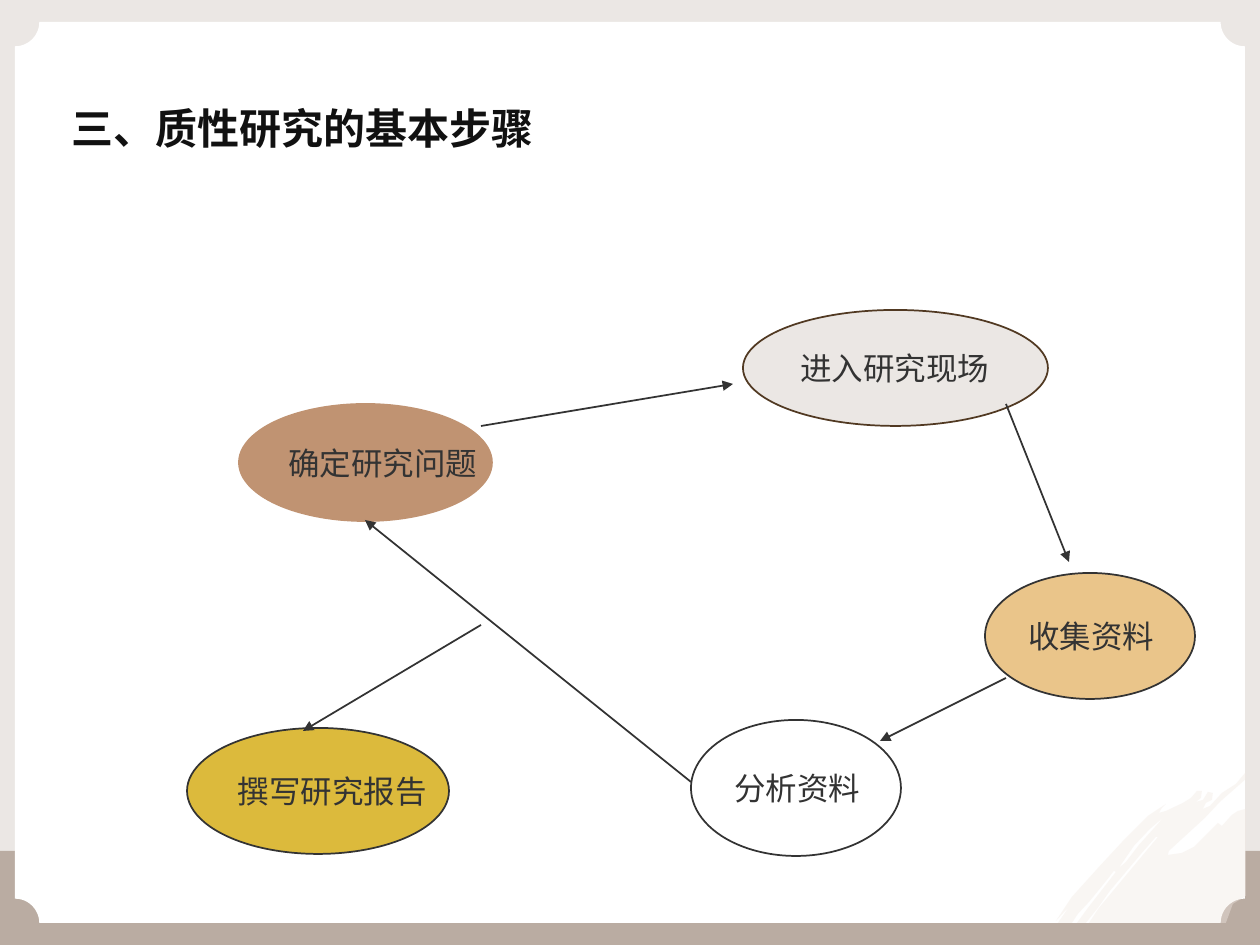
from lxml.etree import SubElement
from pptx import Presentation
from pptx.dml.color import RGBColor
from pptx.enum.shapes import MSO_CONNECTOR, MSO_SHAPE
from pptx.enum.text import MSO_ANCHOR, PP_ALIGN
from pptx.oxml.ns import qn
from pptx.util import Emu, Pt

PX = 914400 // 126
FONT = "Noto Sans CJK SC"
INK = "333333"


def paint(color_format, color):
    """Give a fill a solid colour, or a font its colour, from a hex string."""
    if hasattr(color_format, "solid"):
        color_format.solid()
        color_format = color_format.fore_color
    color_format.rgb = RGBColor.from_string(color)


def add_run(paragraph, text, size, color, bold=False):
    run = paragraph.add_run()
    run.text = text
    run.font.size = Pt(size)
    run.font.bold = bold
    run.font.name = FONT
    paint(run.font.color, color)
    SubElement(run.font._element, qn("a:ea"), typeface=FONT)


presentation = Presentation()
presentation.slide_width = Emu(1260 * PX)
presentation.slide_height = Emu(945 * PX)
slide = presentation.slides.add_slide(presentation.slide_layouts[6])
shapes = slide.shapes

# Frame and white panel
frame = [
    (MSO_SHAPE.RECTANGLE, 0, 0, 1260, 945, "EBE7E4"),
    (MSO_SHAPE.RECTANGLE, 0, 851, 1260, 94, "BAACA2"),
    (MSO_SHAPE.PLAQUE, 15, 22, 1230, 901, "FFFFFF"),
]
for kind, left, top, width, height, color in frame:
    shape = shapes.add_shape(kind, left * PX, top * PX, width * PX, height * PX)
    shape.shadow.inherit = False
    paint(shape.fill, color)
    shape.line.fill.background()
    if kind == MSO_SHAPE.PLAQUE:
        shape.adjustments[0] = 0.027

# Brush stroke in the lower right corner
brush_outline = [
    (1246, 772), (1246, 779), (1220, 802), (1205, 818), (1169, 851), (1168, 855),
    (1182, 853), (1194, 847), (1218, 823), (1222, 826), (1232, 815), (1238, 811),
    (1246, 809), (1246, 896), (1233, 904), (1226, 923), (1089, 923), (1099, 908),
    (1158, 837), (1156, 837), (1142, 853), (1126, 872), (1110, 891), (1098, 908),
    (1086, 923), (1077, 923), (1088, 908), (1116, 872), (1114, 871), (1107, 880),
    (1090, 901), (1078, 914), (1072, 923), (1058, 923), (1069, 907), (1056, 921),
    (1072, 897), (1100, 866), (1125, 839), (1148, 816), (1166, 804), (1162, 808),
    (1159, 813), (1166, 811), (1183, 803), (1191, 798), (1197, 791), (1202, 791),
    (1201, 798), (1196, 802), (1203, 800), (1208, 792), (1213, 793), (1212, 800),
    (1206, 803), (1203, 809), (1210, 806), (1222, 793), (1236, 784),
]
brush_gap = [
    (1163, 818), (1150, 829), (1134, 846), (1119, 868), (1126, 862), (1139, 845),
    (1157, 825),
]
builder = shapes.build_freeform(*brush_outline[0], scale=PX)
builder.add_line_segments(brush_outline[1:])
builder.move_to(*brush_gap[0])
builder.add_line_segments(brush_gap[1:])
brush = builder.convert_to_shape()
brush.shadow.inherit = False
paint(brush.fill, "F2E9E3")
brush.line.fill.background()
brush_color = brush._element.spPr.find(qn("a:solidFill"))[0]
SubElement(brush_color, qn("a:alpha"), val="40000")

# Research steps
steps = [
    ("确定研究问题", 239, 404, 253, 117, "C09372", "C09372", False),
    ("进入研究现场", 743, 310, 305, 116, "EBE7E4", "513922", True),
    ("收集资料", 985, 573, 210, 126, "EAC58A", INK, False),
    ("分析资料", 691, 720, 210, 136, "FFFFFF", INK, False),
    ("撰写研究报告", 187, 728, 262, 126, "DCBA3C", INK, False),
]
for text, left, top, width, height, color, outline, wrap in steps:
    step = shapes.add_shape(MSO_SHAPE.OVAL, left * PX, top * PX, width * PX, height * PX)
    step.shadow.inherit = False
    paint(step.fill, color)
    paint(step.line.fill, outline)
    step.line.width = Pt(1)
    step.text_frame.word_wrap = wrap
    step.text_frame.vertical_anchor = MSO_ANCHOR.MIDDLE
    paragraph = step.text_frame.paragraphs[0]
    paragraph.alignment = PP_ALIGN.LEFT
    add_run(paragraph, text, 18, INK)

# Arrows between the steps
arrows = [
    (481, 426, 733, 384),
    (1006, 404, 1069, 562),
    (1006, 678, 880, 741),
    (691, 782, 365, 520),
    (481, 625, 303, 731),
]
for ends in arrows:
    arrow = shapes.add_connector(MSO_CONNECTOR.STRAIGHT, *(end * PX for end in ends))
    paint(arrow.line.fill, INK)
    arrow.line.width = Pt(1)
    SubElement(arrow.line._get_or_add_ln(), qn("a:tailEnd"), type="triangle")
    SubElement(arrow._element.spPr, qn("a:effectLst"))

# Title
title = shapes.add_textbox(72 * PX, 53 * PX, 1116 * PX, 100 * PX)
title_frame = title.text_frame
title_frame.word_wrap = True
title_frame.vertical_anchor = MSO_ANCHOR.BOTTOM
title_frame.margin_left = title_frame.margin_right = 0
title_frame.margin_top = title_frame.margin_bottom = 0
add_run(title_frame.paragraphs[0], "三、质性研究的基本步骤", 24, "111111", bold=True)

presentation.save("out.pptx")
